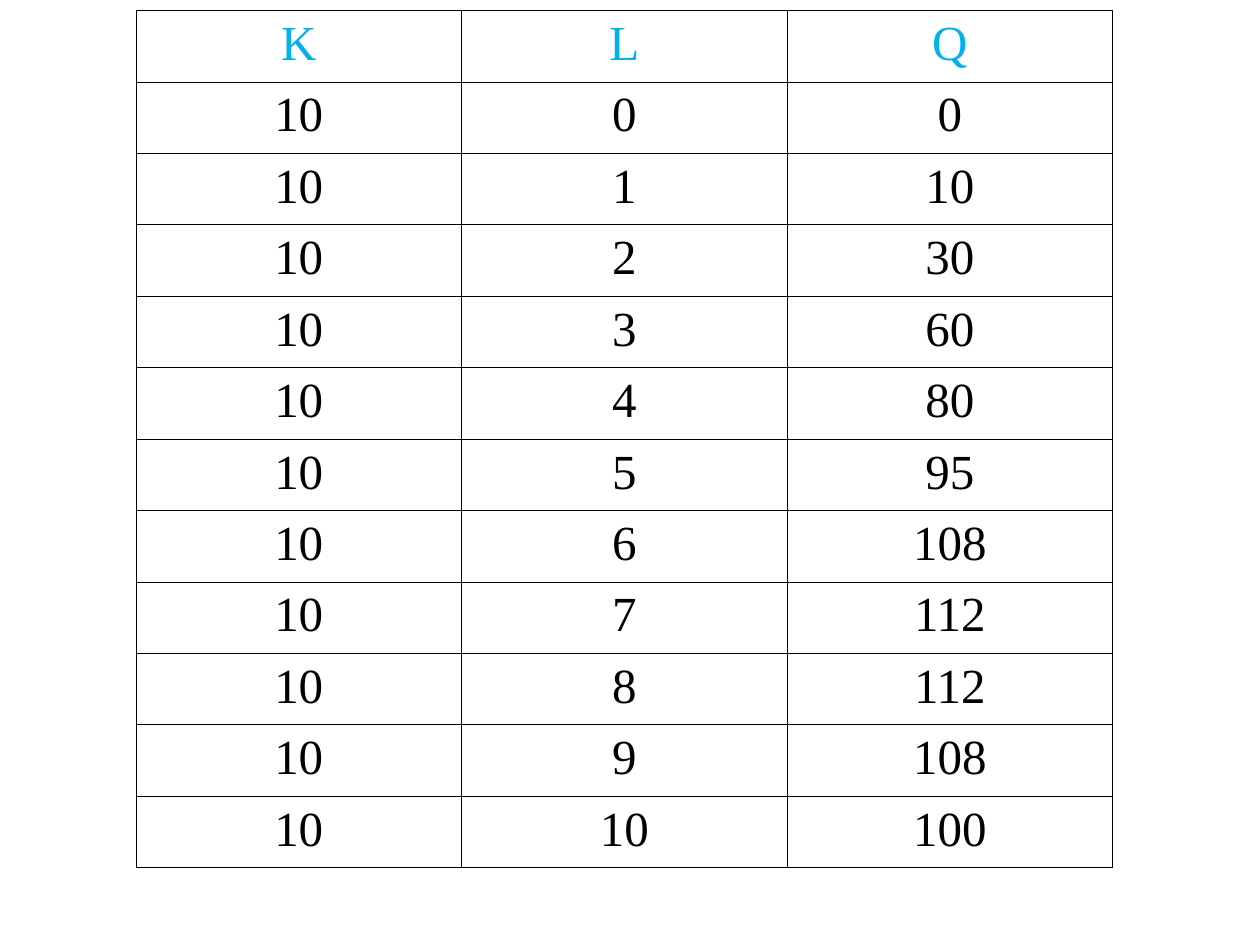
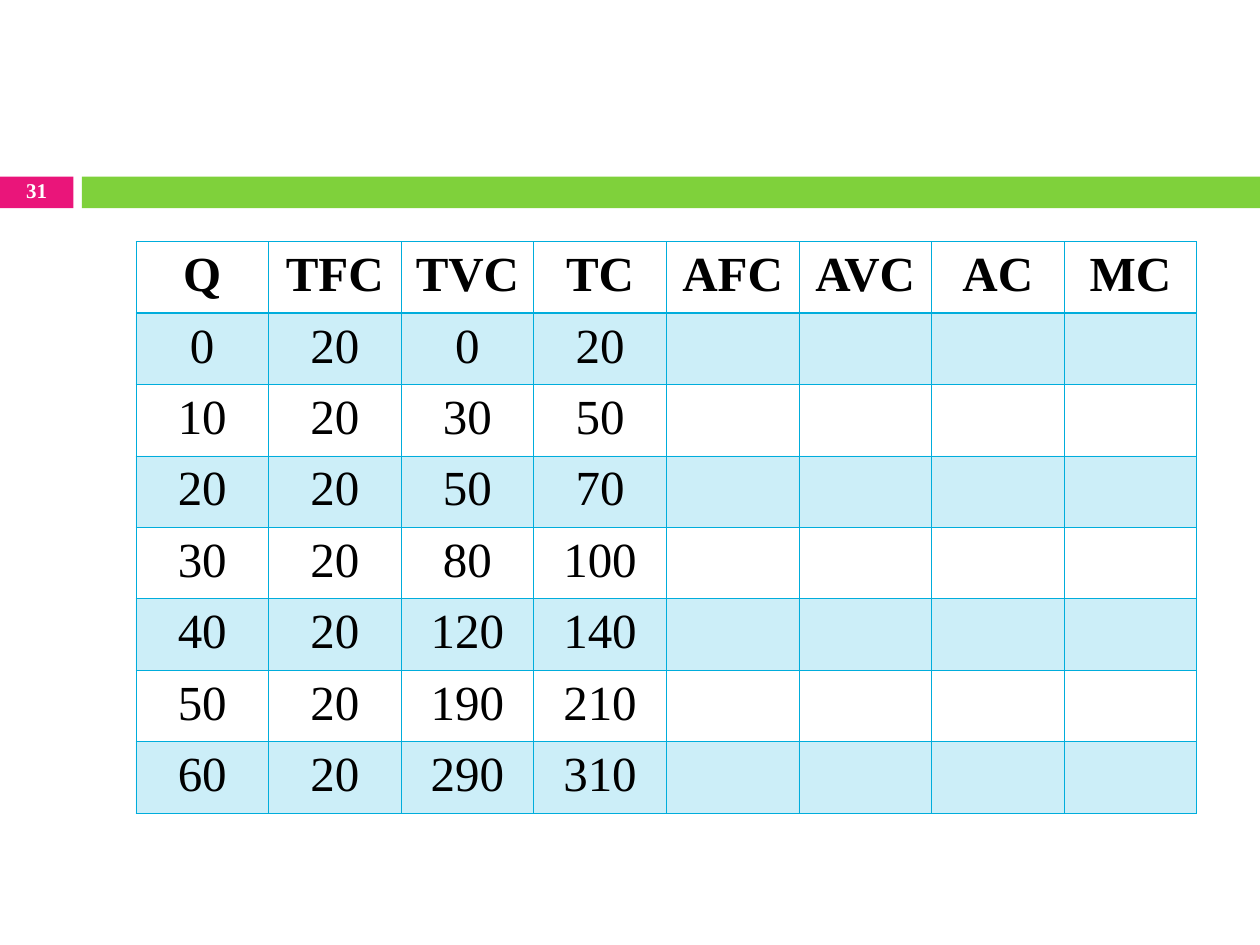
import pptx
import pptx.util
import pptx.dml.color
import pptx.enum.shapes
import pptx.enum.text
import pptx.oxml.ns
from lxml import etree

Cm, Pt = pptx.util.Cm, pptx.util.Pt
RGB = pptx.dml.color.RGBColor.from_string
qn = pptx.oxml.ns.qn

FONT = "Times New Roman"
COLORS = {
    "text": "000000",
    "heading": "00B0F0",
    "grid": "00ADDC",
    "number": "FFFFFF",
    "number_block": "EA157A",
    "band": "7FD13B",
}
BAND_ALPHA = 20
THIN, THICK = 0.45, 0.96
TABLE_LEFT, ROW_HEIGHT = 2.74, 1.44
SLIDE_WIDTH, SLIDE_HEIGHT = 25.4, 19.05

CAPITAL = 10
OUTPUTS = [0, 10, 30, 60, 80, 95, 108, 112, 112, 108, 100]
PRODUCTION = [("K", "L", "Q")] + [
    (CAPITAL, labour, output) for labour, output in enumerate(OUTPUTS)
]

FIXED_COST = 20
VARIABLE_COSTS = [(0, 0), (10, 30), (20, 50), (30, 80), (40, 120), (50, 190), (60, 290)]
COSTS = [("Q", "TFC", "TVC", "TC", "AFC", "AVC", "AC", "MC")] + [
    (q, FIXED_COST, tvc, FIXED_COST + tvc, "", "", "", "") for q, tvc in VARIABLE_COSTS
]


def add_run(p, text, size, color, bold=False):
    p.alignment = pptx.enum.text.PP_ALIGN.CENTER
    r = p.add_run()
    r.text = str(text)
    r.font.name = FONT
    r.font.size = Pt(size)
    r.font.bold = bold
    r.font.color.rgb = RGB(COLORS[color])


def set_borders(cell, color, widths):
    tcPr = cell._tc.get_or_add_tcPr()
    for side, width in zip("LRTB", widths):
        ln = etree.SubElement(tcPr, qn(f"a:ln{side}"), w=str(int(Pt(width))))
        fill = etree.SubElement(ln, qn("a:solidFill"))
        etree.SubElement(fill, qn("a:srgbClr"), val=COLORS[color])


def fill_cell(cell, color, alpha):
    cell.fill.solid()
    cell.fill.fore_color.rgb = RGB(COLORS[color])
    clr = cell._tc.tcPr.find(qn("a:solidFill")).find(qn("a:srgbClr"))
    etree.SubElement(clr, qn("a:alpha"), val=str(alpha * 1000))


def add_grid(s, rows, top, width, grid, heading, bold=False, rule=THIN, banded=False):
    n_rows, n_cols = len(rows), len(rows[0])
    sp = s.shapes.add_table(
        n_rows, n_cols, Cm(TABLE_LEFT), Cm(top), Cm(width), Cm(ROW_HEIGHT * n_rows)
    )
    table = sp.table
    table.first_row = table.horz_banding = False
    for i, values in enumerate(rows):
        table.rows[i].height = Cm(ROW_HEIGHT)
        widths = (THIN, THIN, rule if i == 1 else THIN, rule if i == 0 else THIN)
        for j, value in enumerate(values):
            cell = table.cell(i, j)
            set_borders(cell, grid, widths)
            if banded and i % 2:
                fill_cell(cell, grid, BAND_ALPHA)
            else:
                cell.fill.background()
            if value != "":
                p = cell.text_frame.paragraphs[0]
                add_run(p, value, 28, "text" if i else heading, bold and i == 0)


def add_block(s, left, width, color):
    sp = s.shapes.add_shape(
        pptx.enum.shapes.MSO_SHAPE.RECTANGLE, Cm(left), Cm(3.56), Cm(width), Cm(0.64)
    )
    sp.shadow.inherit = False
    sp.fill.solid()
    sp.fill.fore_color.rgb = RGB(COLORS[color])
    sp.line.fill.background()
    return sp


def add_number_band(s, number):
    tf = add_block(s, 0, 1.48, "number_block").text_frame
    tf.vertical_anchor = pptx.enum.text.MSO_ANCHOR.MIDDLE
    p = tf.paragraphs[0]
    p.line_spacing = 0.8
    add_run(p, number, 12, "number", True)
    add_block(s, 1.65, SLIDE_WIDTH - 1.65, "band")


def main():
    prs = pptx.Presentation()
    prs.slide_width, prs.slide_height = Cm(SLIDE_WIDTH), Cm(SLIDE_HEIGHT)
    blank = prs.slide_layouts[6]

    s = prs.slides.add_slide(blank)
    add_grid(s, PRODUCTION, 0.21, 19.69, "text", "heading")

    s = prs.slides.add_slide(blank)
    add_number_band(s, 31)
    add_grid(s, COSTS, 4.87, 21.39, "grid", "text", bold=True, rule=THICK, banded=True)

    prs.save("out.pptx")


if __name__ == "__main__":
    main()
